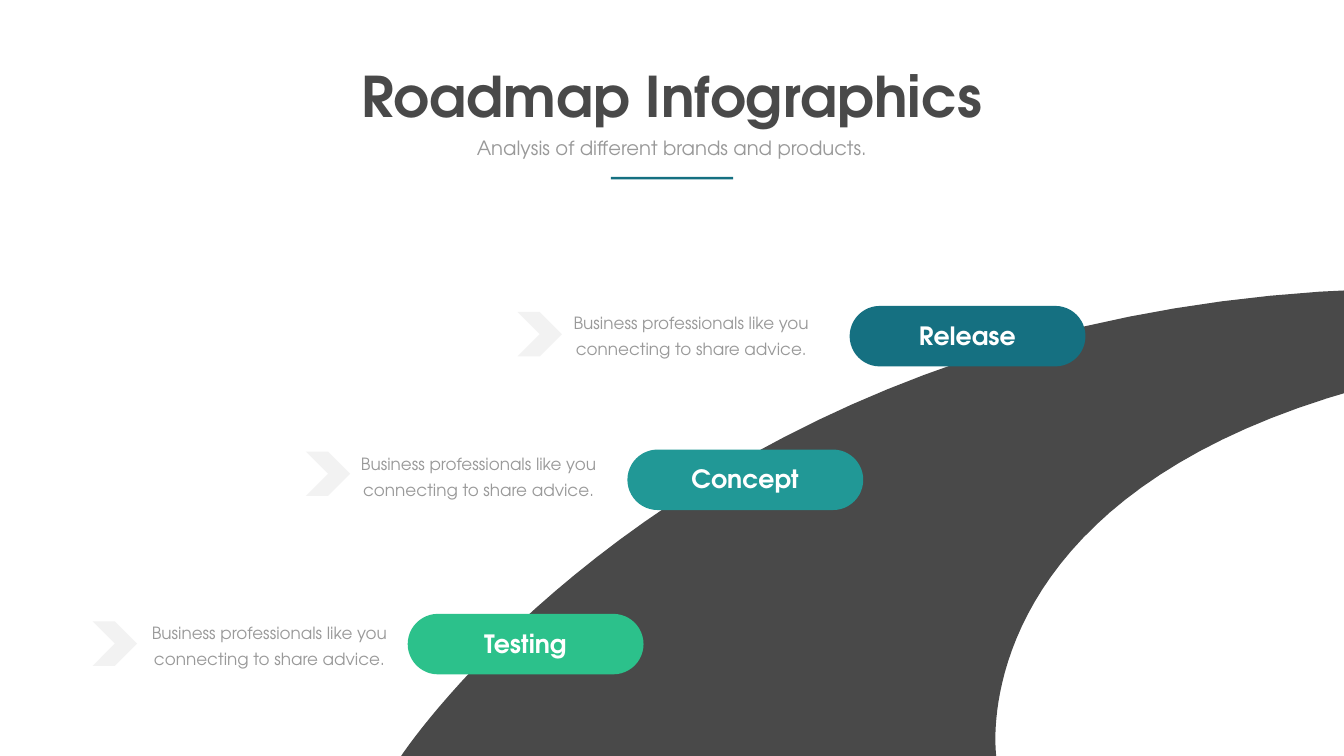
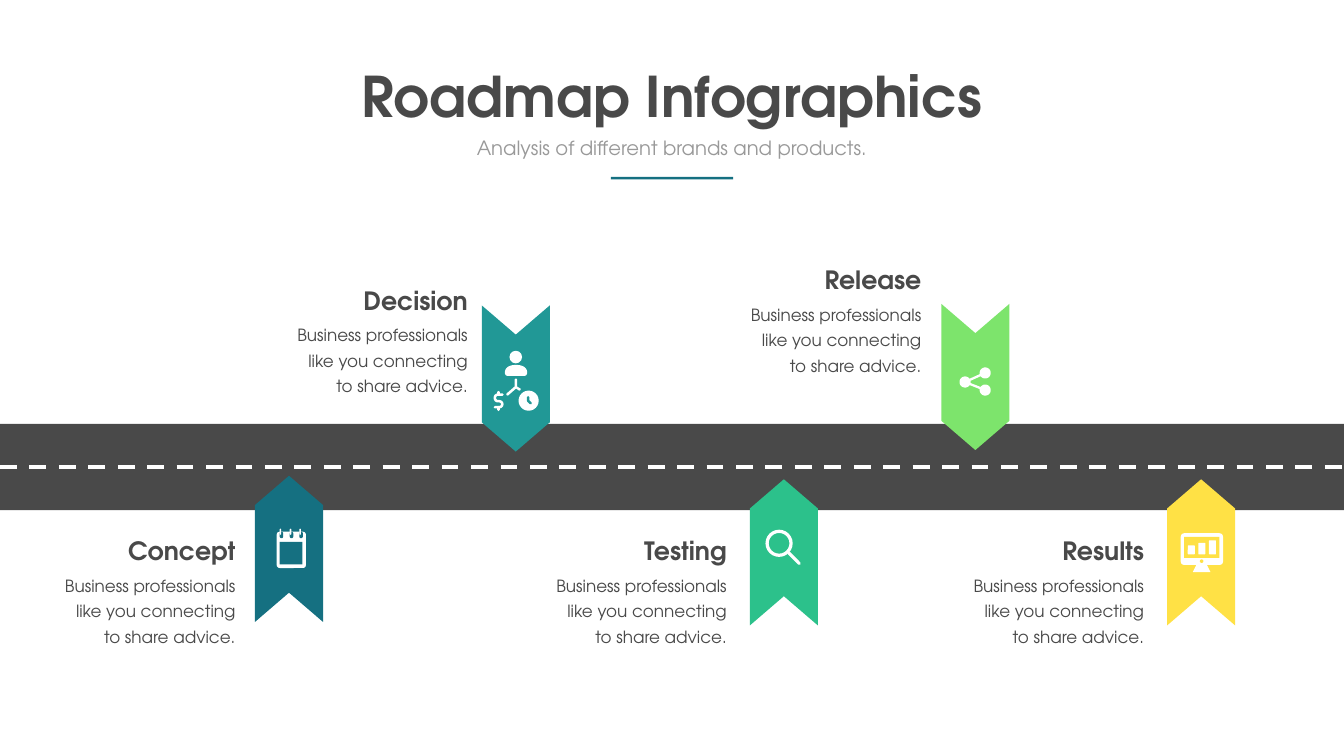
from dataclasses import dataclass
from math import cos, radians, sin

from lxml import etree
from pptx import Presentation
from pptx import util as u
from pptx.dml.color import RGBColor
from pptx.enum import dml, shapes, text
from pptx.oxml.ns import qn

PX = 9144  # EMU in one px, 100 px to the inch
KIND = shapes.MSO_SHAPE
ALIGN = text.PP_ALIGN


@dataclass(frozen=True)
class Theme:
    font: str = "TeX Gyre Adventor"
    dark: str = "494949"
    grey: str = "999999"
    pale: str = "F2F2F2"
    white: str = "FFFFFF"
    blue: str = "157081"
    teal: str = "219896"
    green: str = "2CC18B"
    lime: str = "7DE46C"
    gold: str = "FFE145"
    title: int = 80
    label: int = 36
    sub: int = 28
    body: int = 24
    lead: float = 36.6


T = Theme()
ADVICE = "Business professionals like you connecting to share advice."


# Basic elements

def emu(*vals):
    return [u.Emu(round(v * PX)) for v in vals]


def paint(shape, color):
    shape.shadow.inherit = False
    shape.fill.solid()
    shape.fill.fore_color.rgb = RGBColor.from_string(color)
    shape.line.fill.background()


def block(slide, kind, box, color, *adjust):
    shape = slide.shapes.add_shape(kind, *emu(*box))
    paint(shape, color)
    for i, value in enumerate(adjust):
        shape.adjustments[i] = value
    return shape


def disc(slide, x, y, size, color):
    return block(slide, KIND.OVAL, (x, y, size, size), color)


def write(slide, box, words, size, color, align=ALIGN.CENTER,
          bold=False, lead=None, wrap=True):
    shape = slide.shapes.add_textbox(*emu(*box))
    frame = shape.text_frame
    frame.word_wrap = wrap
    frame.auto_size = text.MSO_AUTO_SIZE.SHAPE_TO_FIT_TEXT
    para = frame.paragraphs[0]
    para.alignment = align
    if lead:
        para.line_spacing = u.Pt(lead)
    run = para.add_run()
    run.text = words
    font = run.font
    font.name, font.size, font.bold = T.font, u.Pt(size), bold
    font.color.rgb = RGBColor.from_string(color)


def pen(shape, color, width):
    shape.line.color.rgb = RGBColor.from_string(color)
    shape.line.width = u.Pt(width)


def line(slide, start, end, color, width, dash=None):
    shape = slide.shapes.add_connector(
        shapes.MSO_CONNECTOR.STRAIGHT, *emu(*start, *end))
    pen(shape, color, width)
    props = shape._element.spPr
    if dash:
        shape.line.dash_style = dash
    else:
        props.find(qn("a:ln")).set("cap", "rnd")
    etree.SubElement(props, qn("a:effectLst"))


def curve(a, b, c, d, steps=40):
    """Points along a cubic curve from a to d."""
    def at(t, i):
        s = 1 - t
        return (s ** 3 * a[i] + 3 * s * s * t * b[i]
                + 3 * s * t * t * c[i] + t ** 3 * d[i])
    return [(at(k / steps, 0), at(k / steps, 1)) for k in range(steps + 1)]


def arc(mid, size, start, end, steps=30):
    """Points along a circle, clockwise, between two angles in degrees."""
    turns = [radians(start + (end - start) * k / steps)
             for k in range(steps + 1)]
    return [(mid[0] + size * cos(t), mid[1] + size * sin(t)) for t in turns]


def trace(slide, points, close):
    first, *rest = [emu(*p) for p in points]
    path = slide.shapes.build_freeform(*first, scale=1.0)
    path.add_line_segments(rest, close=close)
    return path.convert_to_shape()


def outline(slide, points, color):
    paint(trace(slide, points, True), color)


def stroke(slide, points, color, width):
    shape = trace(slide, points, False)
    shape.shadow.inherit = False
    shape.fill.background()
    pen(shape, color, width)
    shape._element.spPr.find(qn("a:ln")).set("cap", "rnd")


# Shared heading

def heading(slide):
    write(slide, (700, 117, 1266, 145), "Roadmap Infographics",
          T.title, T.dark, bold=True, wrap=False)
    write(slide, (855, 265, 956, 57),
          "Analysis of different brands and products.", T.sub, T.grey)
    block(slide, KIND.RECTANGLE, (1212, 351, 243, 5), T.blue)


# Road slide

def bend(slide):
    outer = curve((796, 1500), (796, 1500), (1405, 572), (2826, 572))
    inner = curve((2826, 740), (1897, 938), (1977, 1500), (1977, 1500))
    outline(slide, outer + inner, T.dark)


def stage(slide, name, color, pill, note, mark):
    x, y = pill
    block(slide, KIND.ROUNDED_RECTANGLE, (x, y, 468, 120), color, 0.5)
    write(slide, (x + 30, y + 23, 407, 71), name, T.label, T.white, bold=True)
    write(slide, (*note, 559, 108), ADVICE, T.body, T.grey, lead=T.lead)
    block(slide, KIND.CHEVRON, (*mark, 88, 88), T.pale)


# Ribbon slide

def ribbon(slide, x, y, color, up):
    wide, tall, tip = 135, 290, 58
    mid = x + wide / 2
    drops = [(x, tall), (x, tip), (mid, 0), (x + wide, tip),
             (x + wide, tall), (mid, tall - tip)]
    outline(slide, [(px, y + (d if up else tall - d)) for px, d in drops],
            color)


def step(slide, name, right, top):
    write(slide, (right - 286, top, 286, 71), name, T.label, T.dark,
          ALIGN.RIGHT, bold=True)
    write(slide, (right - 371, top + 68, 371, 160), ADVICE, T.body, T.dark,
          ALIGN.RIGHT, lead=T.lead)


# Icons

def planner(slide, back):
    block(slide, KIND.ROUNDED_RECTANGLE, (549, 1055, 58, 72), T.white, 0.1)
    block(slide, KIND.RECTANGLE, (555, 1075, 45, 45), back)
    for x in (555, 575, 594):
        block(slide, KIND.ROUNDED_RECTANGLE, (x, 1055, 7, 13), back, 0.5)
        block(slide, KIND.ROUNDED_RECTANGLE, (x, 1049, 3, 12), T.white, 0.5)


def choice(slide, back):
    # Person
    disc(slide, 1011, 696, 25, T.white)
    left = curve((1002, 739), (1002, 729), (1011, 724), (1024, 724), 12)
    right = curve((1024, 724), (1037, 724), (1046, 729), (1046, 739), 12)
    outline(slide, left + right + arc((1040, 740), 6, 0, 90, 6)
            + arc((1008, 740), 6, 90, 180, 6), T.white)
    # Branches
    outline(slide, [
        (1021, 753), (1024, 751), (1026, 753), (1026, 767), (1033, 771),
        (1033, 774), (1031, 775), (1030, 775), (1024, 771), (1008, 785),
        (1005, 784), (1005, 781), (1021, 767)], T.white)
    # Money sign
    bowl = curve((988, 783), (980, 783), (980, 796), (988, 796), 12)
    belly = curve((990, 796), (999, 796), (999, 808), (990, 808), 12)
    stroke(slide, [(997, 783), *bowl, *belly, (982, 808)], T.white, 3.6)
    for top in (778, 808):
        line(slide, (989, top), (989, top + 5), T.white, 3.6)
    # Clock
    disc(slide, 1029, 775, 40, T.white)
    stroke(slide, [(1048, 788), (1048, 795), (1053, 800)], back, 3.6)


def lens(slide, back):
    block(slide, KIND.DONUT, (1519, 1051, 54, 54), T.white, 0.12)
    line(slide, (1565, 1097), (1586, 1118), T.white, 4.5)


def share(slide, back):
    hub, high, low = (1915, 758), (1955, 740), (1955, 774)
    size = 11
    outline(slide, arc(high, size, 168, 504) + arc(hub, size, -12, 10)
            + arc(low, size, 214, 550) + arc(hub, size, 34, 324), T.white)


def screen(slide, back):
    block(slide, KIND.ROUNDED_RECTANGLE, (2343, 1058, 84, 63), T.white, 0.11)
    block(slide, KIND.RECTANGLE, (2350, 1065, 70, 42), back)
    for i in range(3):
        tall = 18 + 5 * i
        block(slide, KIND.ROUNDED_RECTANGLE,
              (2357 + 21 * i, 1100 - tall, 14, tall), T.white, 0.12)
    disc(slide, 2381, 1110, 7, back)
    block(slide, KIND.TRAPEZOID, (2367, 1121, 35, 14), T.white, 0.5)


# Slides

def curved(slide):
    heading(slide)
    bend(slide)
    stages = [
        ("Release", T.blue, (1686, 607), (1092, 605), (1027, 619)),
        ("Concept", T.teal, (1245, 892), (670, 885), (607, 896)),
        ("Testing", T.green, (809, 1218), (255, 1220), (184, 1233)),
    ]
    for item in stages:
        stage(slide, *item)


def level(slide):
    heading(slide)
    block(slide, KIND.RECTANGLE, (0, 841, 2667, 171), T.dark)
    line(slide, (0, 926), (2667, 926), T.white, 6, dml.MSO_LINE.DASH)
    # name, colour, ribbon corner, points up, text right and top, icon
    steps = [
        ("Concept", T.blue, (506, 944), True, (477, 1058), planner),
        ("Decision", T.teal, (956, 606), False, (938, 561), choice),
        ("Testing", T.green, (1488, 951), True, (1452, 1058), lens),
        ("Release", T.lime, (1868, 603), False, (1838, 520), share),
        ("Results", T.gold, (2316, 951), True, (2280, 1058), screen),
    ]
    for name, color, spot, up, edge, icon in steps:
        ribbon(slide, *spot, color, up)
        step(slide, name, *edge)
        icon(slide, color)


def main():
    deck = Presentation()
    deck.slide_width, deck.slide_height = emu(2667, 1500)
    for build in (curved, level):
        build(deck.slides.add_slide(deck.slide_layouts[6]))
    deck.save("out.pptx")


if __name__ == "__main__":
    main()
